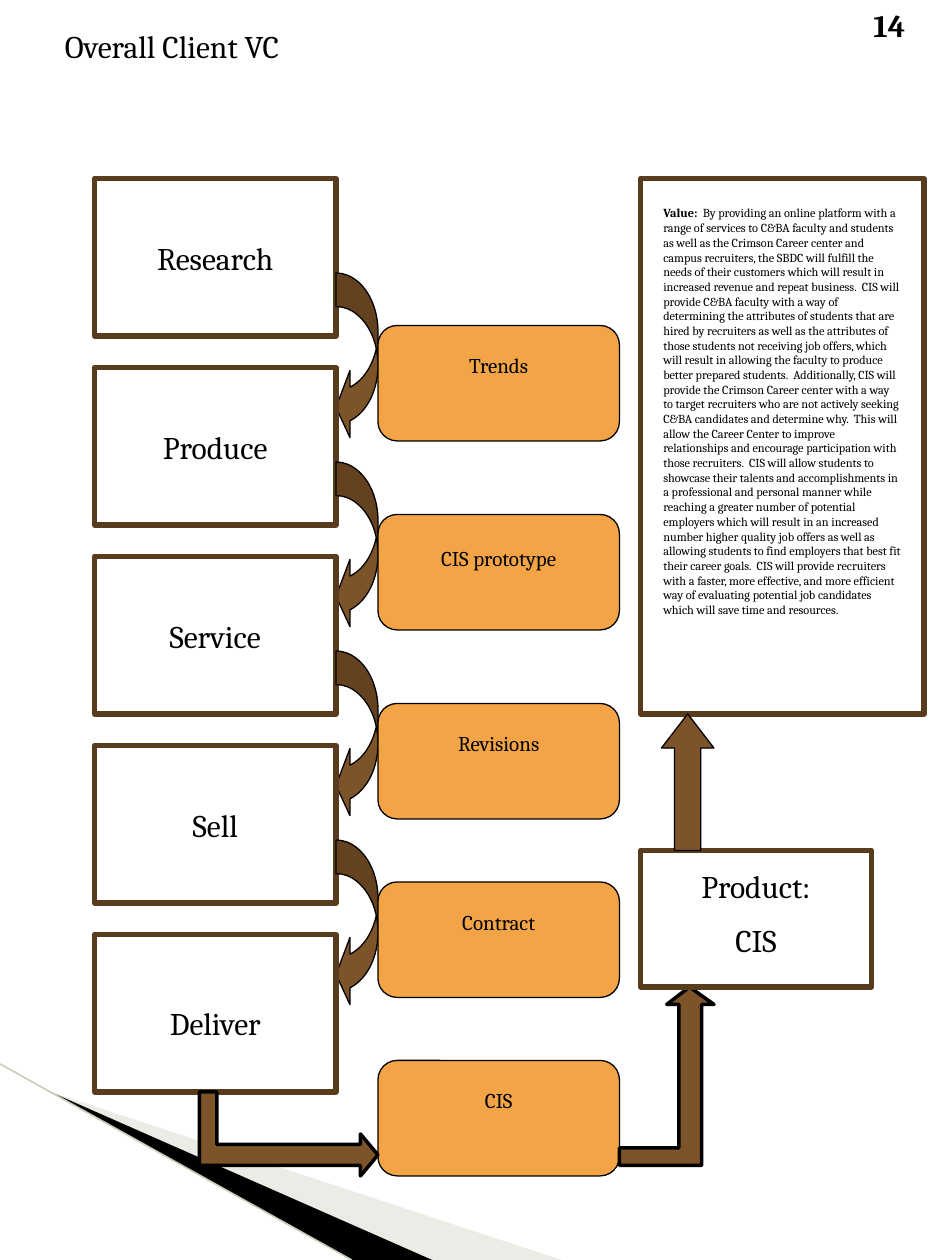
import pptx
import pptx.util
import pptx.dml.color
import pptx.enum.shapes
import pptx.enum.text
from lxml import etree

Pt = pptx.util.Pt
SHAPE = pptx.enum.shapes.MSO_SHAPE
ALIGN = pptx.enum.text.PP_ALIGN
A = "http://schemas.openxmlformats.org/drawingml/2006/main"
FONT = "Cambria"
COLORS = {
    "ink": "000000",
    "frame": "593B1D",
    "arrow": "7D5329",
    "output": "F3A447",
    "wedge": "CBD4C0",
    "edge": "C6D0BB",
}
STEPS = ["Research", "Produce", "Service", "Sell", "Deliver"]
# Output, top of its box, distance from there to its label
OUTPUTS = [("Trends", 186, 12), ("CIS prototype", 294, 14), ("Revisions", 402, 12),
           ("Contract", 504, 12), ("CIS", 606, 12)]
VALUE_SENTENCES = [
    "By providing an online platform with a range of services to C&BA faculty and students "
    "as well as the Crimson Career center and campus recruiters, the SBDC will fulfill the "
    "needs of their customers which will result in increased revenue and repeat business.",
    "CIS will provide C&BA faculty with a way of determining the attributes of students that "
    "are hired by recruiters as well as the attributes of those students not receiving job "
    "offers, which will result in allowing the faculty to produce better prepared students.",
    "Additionally, CIS will provide the Crimson Career center with a way to target recruiters "
    "who are not actively seeking C&BA candidates and determine why.",
    "This will allow the Career Center to improve relationships and encourage participation "
    "with those recruiters.",
    "CIS will allow students to showcase their talents and accomplishments in a professional "
    "and personal manner while reaching a greater number of potential employers which will "
    "result in an increased number higher quality job offers as well as allowing students to "
    "find employers that best fit their career goals.",
    "CIS will provide recruiters with a faster, more effective, and more efficient way of "
    "evaluating potential job candidates which will save time and resources.",
]


def rgb(name):
    return pptx.dml.color.RGBColor.from_string(COLORS[name])


def paint(shape, fill=None, line=None, width=0.75):
    shape.shadow.inherit = False
    if fill:
        shape.fill.solid()
        shape.fill.fore_color.rgb = rgb(fill)
    else:
        shape.fill.background()
    if line:
        shape.line.color.rgb = rgb(line)
        shape.line.width = Pt(width)
    else:
        shape.line.fill.background()
    return shape


def add_preset(slide, kind, box, adjustments=(), **style):
    shape = slide.shapes.add_shape(kind, *map(Pt, box))
    for index, value in enumerate(adjustments):
        shape.adjustments[index] = value
    return paint(shape, **style)


def add_outline(slide, points, **style):
    builder = slide.shapes.build_freeform(*points[0], scale=Pt(1))
    builder.add_line_segments(points[1:], close=True)
    return paint(builder.convert_to_shape(), **style)


def add_frame(slide, box):
    return add_preset(slide, SHAPE.RECTANGLE, box, line="frame", width=3)


def add_text(slide, box, paragraphs, size=18, align=ALIGN.CENTER):
    """Each paragraph is a list of (text, bold) runs."""
    frame = slide.shapes.add_textbox(*map(Pt, box)).text_frame
    frame.word_wrap = True
    for index, runs in enumerate(paragraphs):
        paragraph = frame.add_paragraph() if index else frame.paragraphs[0]
        paragraph.alignment = align
        if index:
            paragraph.space_before = Pt(size / 2)
        for text, bold in runs:
            run = paragraph.add_run()
            run.text = text
            run.font.name = FONT
            run.font.size = Pt(size)
            run.font.bold = bold
            run.font.color.rgb = rgb("ink")


def add_corner(slide, left, top):
    """Swooping wedges in the bottom left corner."""
    x, y = left + 29, top + 16
    pale = add_outline(slide, [(x, y), (left + 321, top + 112), (left + 246, top + 112)],
                       fill="wedge")
    color = pale._element.spPr.find(f".//{{{A}}}srgbClr")
    etree.SubElement(color, f"{{{A}}}alpha", val="40000")
    add_outline(slide, [(x, y), (left + 247, top + 112), (left + 201, top + 112)], fill="ink")
    edge = slide.shapes.add_connector(pptx.enum.shapes.MSO_CONNECTOR.STRAIGHT,
                                      Pt(left), Pt(top), Pt(left + 201), Pt(top + 112))
    edge.line.color.rgb = rgb("edge")
    edge.line.width = Pt(0.95)
    etree.SubElement(edge._element.spPr, f"{{{A}}}effectLst")


def add_header(slide, left, top, right):
    add_text(slide, (left, top + 12, 366, 29), [[("Overall Client VC", False)]],
             align=ALIGN.LEFT)
    add_text(slide, (right - 42, top, 42, 29), [[("14", True)]], align=ALIGN.LEFT)


def add_steps(slide, left, top, width, height, pitch):
    """Chain of steps, each curving into the next."""
    for index, step in enumerate(STEPS):
        y = top + index * pitch
        last = index == len(STEPS) - 1
        add_frame(slide, (left, y, width, height))
        add_text(slide, (left + 6, y + (36 if last else 31), width - 12, 29),
                 [[(step, False)]])
        if not last:
            add_preset(slide, SHAPE.CURVED_LEFT_ARROW, (left + width, y + 54, 24, 96),
                       (0.8, 1.6, 0.333), fill="arrow", line="ink")


def add_outputs(slide, left, width, height):
    for output, top, offset in OUTPUTS:
        add_preset(slide, SHAPE.ROUNDED_RECTANGLE, (left, top, width, height), (0.167,),
                   fill="output", line="ink")
        add_text(slide, (left, top + offset, width, 22), [[(output, False)]], size=12)


def add_elbows(slide):
    """Bent arrows from Deliver to CIS and from CIS to the product."""
    to_output = [(124.5, 624), (124.5, 654), (206, 654), (206, 648), (216, 660),
                 (206, 672), (206, 666), (114, 666), (114, 624)]
    to_product = [(354, 656), (388, 656), (388, 574.5), (381, 574.5), (394.5, 564),
                  (408, 574.5), (401, 574.5), (401, 666), (354, 666)]
    for points in (to_output, to_product):
        add_outline(slide, points, fill="arrow", line="ink", width=2)


def add_product(slide, left, top, width, height):
    add_frame(slide, (left, top, width, height))
    add_preset(slide, SHAPE.UP_ARROW, (left + 12, top - 78, 30, 78), (0.5, 0.65),
               fill="arrow", line="ink")
    add_text(slide, (left + 12, top + 6, width - 24, 62),
             [[("Product:", False)], [("CIS", False)]])


def add_value(slide, left, top, width, height):
    add_frame(slide, (left, top, width, height))
    add_text(slide, (left + 6, top + 12, width - 12, height - 14),
             [[("Value:", True), ("  " + "  ".join(VALUE_SENTENCES), False)]],
             size=7, align=ALIGN.LEFT)


def main():
    deck = pptx.Presentation()
    deck.slide_width, deck.slide_height = Pt(540), Pt(720)
    slide = deck.slides.add_slide(deck.slide_layouts[6])
    add_corner(slide, 0, 608)
    add_header(slide, 30, 0, 534)
    add_steps(slide, 54, 102, 138, 90, 108)
    add_outputs(slide, 216, 138, 66)
    add_elbows(slide)
    add_value(slide, 366, 102, 162, 306)
    add_product(slide, 366, 486, 132, 78)
    deck.save("out.pptx")


if __name__ == "__main__":
    main()
